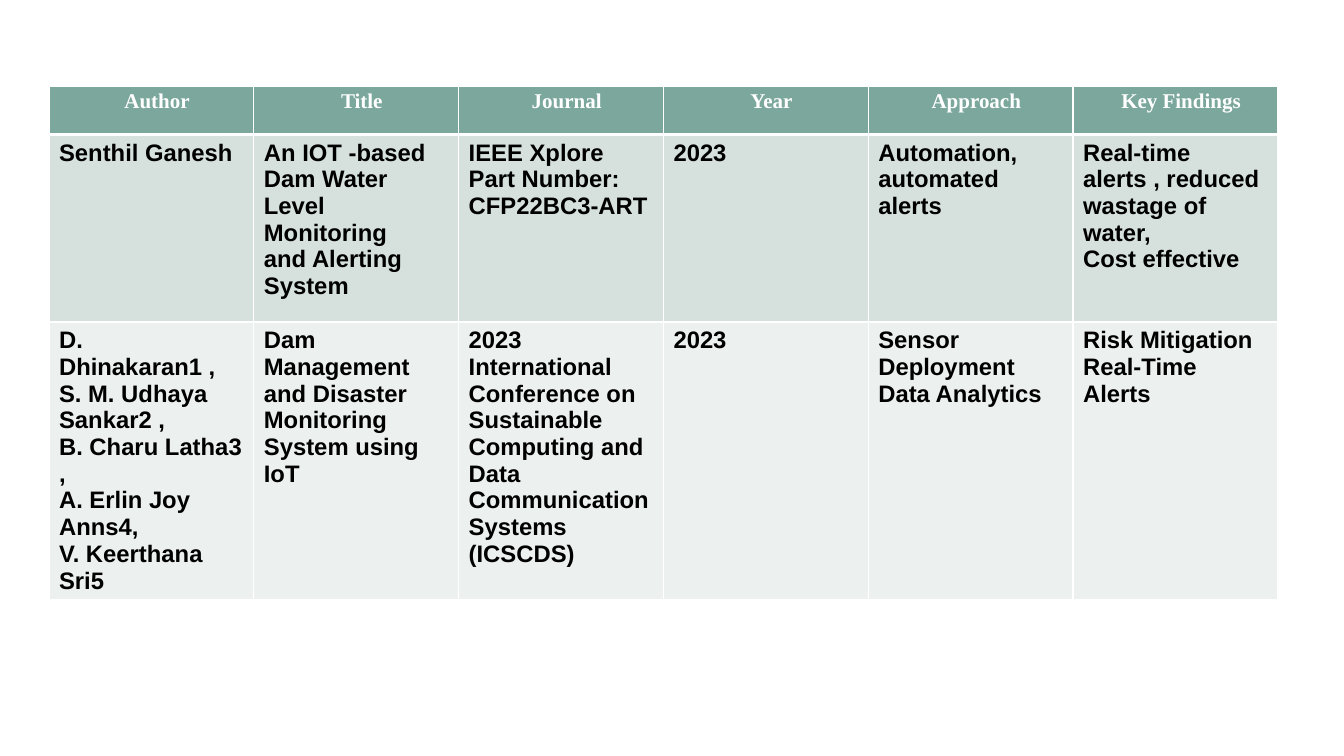
from dataclasses import dataclass
from typing import Any

from lxml.etree import SubElement
from pptx import Presentation
from pptx.dml.color import RGBColor
from pptx.enum.text import PP_ALIGN
from pptx.oxml.ns import qn
from pptx.table import _Cell
from pptx.util import Pt


@dataclass(frozen=True)
class Theme:
    header_fill: str = "7BA79D"
    first_fill: str = "D6E1DE"
    second_fill: str = "ECF0EF"
    border: str = "FFFFFF"
    header_text: str = "FFFFFF"
    body_text: str = "000000"
    header_font: str = "Times New Roman"
    body_font: str = "Arial"
    header_size: float = 15
    body_size: float = 17
    thin_line: float = 1
    thick_line: float = 3


@dataclass(frozen=True)
class RowStyle:
    fill: str
    color: str
    font: dict[str, Any]
    cell: dict[str, Any]
    align: PP_ALIGN
    indent: float
    top_line: float
    bottom_line: float


@dataclass(frozen=True)
class TableRow:
    height: float
    style: RowStyle
    texts: tuple[str, ...]


THEME = Theme()
HEADER_FONT = {"name": THEME.header_font, "size": Pt(THEME.header_size), "bold": True}
BODY_FONT = {"name": THEME.body_font, "size": Pt(THEME.body_size), "bold": True}
HEADER_CELL = {"margin_left": Pt(0), "margin_top": Pt(3), "margin_right": Pt(0), "margin_bottom": Pt(0)}
BODY_CELL = {"margin_left": Pt(7.2), "margin_top": Pt(3.6), "margin_right": Pt(7.2), "margin_bottom": Pt(3.6)}

HEADER = RowStyle(THEME.header_fill, THEME.header_text, HEADER_FONT, HEADER_CELL,
                  PP_ALIGN.CENTER, 8, THEME.thin_line, THEME.thick_line)
FIRST = RowStyle(THEME.first_fill, THEME.body_text, BODY_FONT, BODY_CELL,
                 PP_ALIGN.LEFT, 0, THEME.thick_line, THEME.thin_line)
SECOND = RowStyle(THEME.second_fill, THEME.body_text, BODY_FONT, BODY_CELL,
                  PP_ALIGN.LEFT, 0, THEME.thin_line, THEME.thin_line)

ROWS = (
    TableRow(34.5, HEADER, ("Author", "Title", "Journal", "Year", "Approach", "Key Findings")),
    TableRow(134, FIRST, (
        "Senthil Ganesh",
        "An IOT -based Dam Water Level Monitoring\nand Alerting System",
        "IEEE Xplore Part Number: CFP22BC3-ART",
        "2023",
        "Automation,\nautomated alerts",
        "Real-time alerts , reduced wastage of water,\nCost effective",
    )),
    TableRow(134, SECOND, (
        "D. Dhinakaran1 , S. M. Udhaya Sankar2 ,\nB. Charu Latha3 ,\n"
        "A. Erlin Joy Anns4,\nV. Keerthana Sri5",
        "Dam Management and Disaster Monitoring System using IoT",
        "2023 International Conference on Sustainable Computing and Data "
        "Communication Systems (ICSCDS)",
        "2023",
        "Sensor Deployment\nData Analytics",
        "Risk Mitigation\nReal-Time Alerts",
    )),
)
TABLE_LEFT, TABLE_TOP, COLUMN_WIDTH = 35, 61.5, 146.3


def apply_format(target: Any, values: dict[str, Any]) -> None:
    for name, value in values.items():
        setattr(target, name, value)


def draw_borders(cell: _Cell, style: RowStyle) -> None:
    properties = cell._tc.get_or_add_tcPr()
    widths = {"a:lnL": THEME.thin_line, "a:lnR": THEME.thin_line,
              "a:lnT": style.top_line, "a:lnB": style.bottom_line}
    for tag, width in widths.items():
        line = SubElement(properties, qn(tag), w=str(Pt(width)))
        fill = SubElement(line, qn("a:solidFill"))
        SubElement(fill, qn("a:srgbClr"), val=THEME.border)


def fill_cell(cell: _Cell, text: str, style: RowStyle) -> None:
    apply_format(cell, style.cell)
    draw_borders(cell, style)
    cell.fill.solid()
    cell.fill.fore_color.rgb = RGBColor.from_string(style.fill)
    cell.text_frame.text = text
    for para in cell.text_frame.paragraphs:
        para.alignment = style.align
        para._p.get_or_add_pPr().set("marL", str(Pt(style.indent)))
        for span in para.runs:
            apply_format(span.font, style.font)
            span.font.color.rgb = RGBColor.from_string(style.color)


def main() -> None:
    deck = Presentation()
    apply_format(deck, {"slide_width": Pt(960), "slide_height": Pt(540)})
    page = deck.slides.add_slide(deck.slide_layouts[6])
    column_count = len(ROWS[0].texts)
    table = page.shapes.add_table(
        len(ROWS), column_count, Pt(TABLE_LEFT), Pt(TABLE_TOP),
        Pt(COLUMN_WIDTH * column_count), Pt(sum(row.height for row in ROWS)),
    ).table
    for column in table.columns:
        column.width = Pt(COLUMN_WIDTH)
    for row_index, row in enumerate(ROWS):
        table.rows[row_index].height = Pt(row.height)
        for column_index, text in enumerate(row.texts):
            fill_cell(table.cell(row_index, column_index), text, row.style)
    deck.save("out.pptx")


if __name__ == "__main__":
    main()
